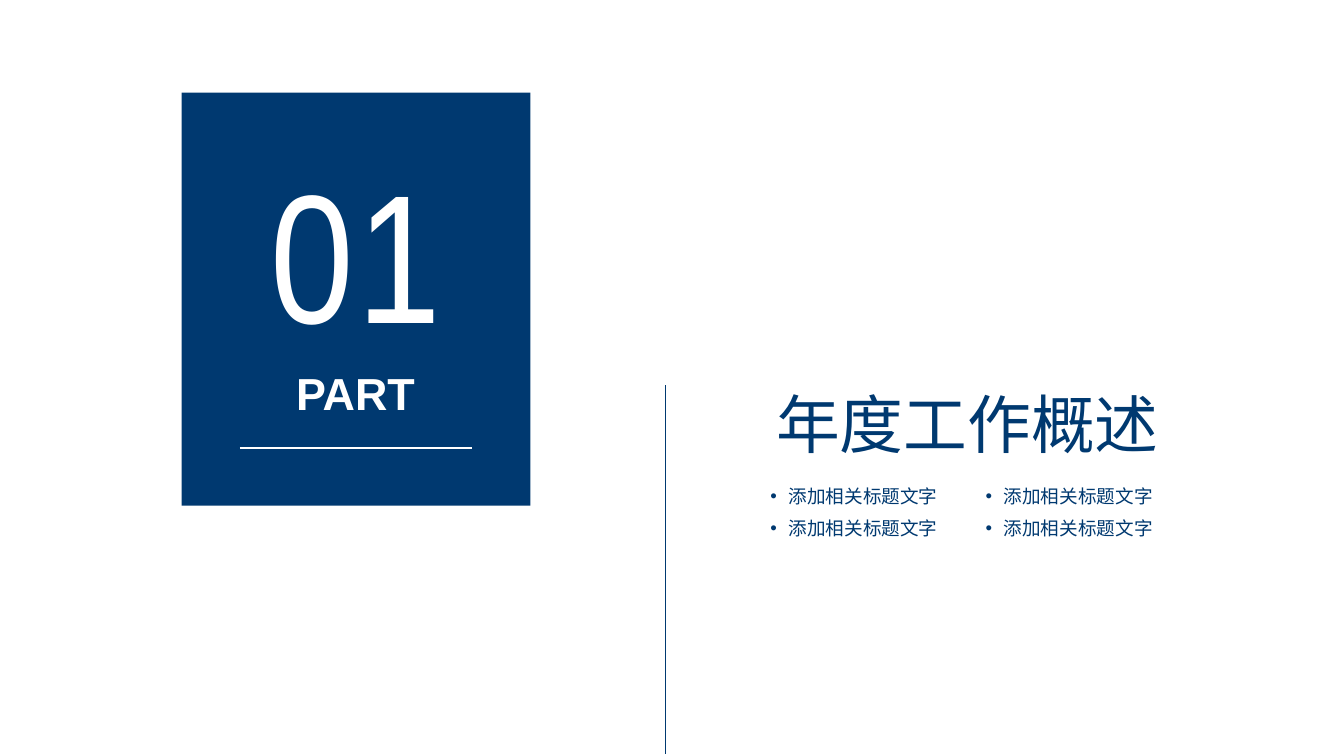
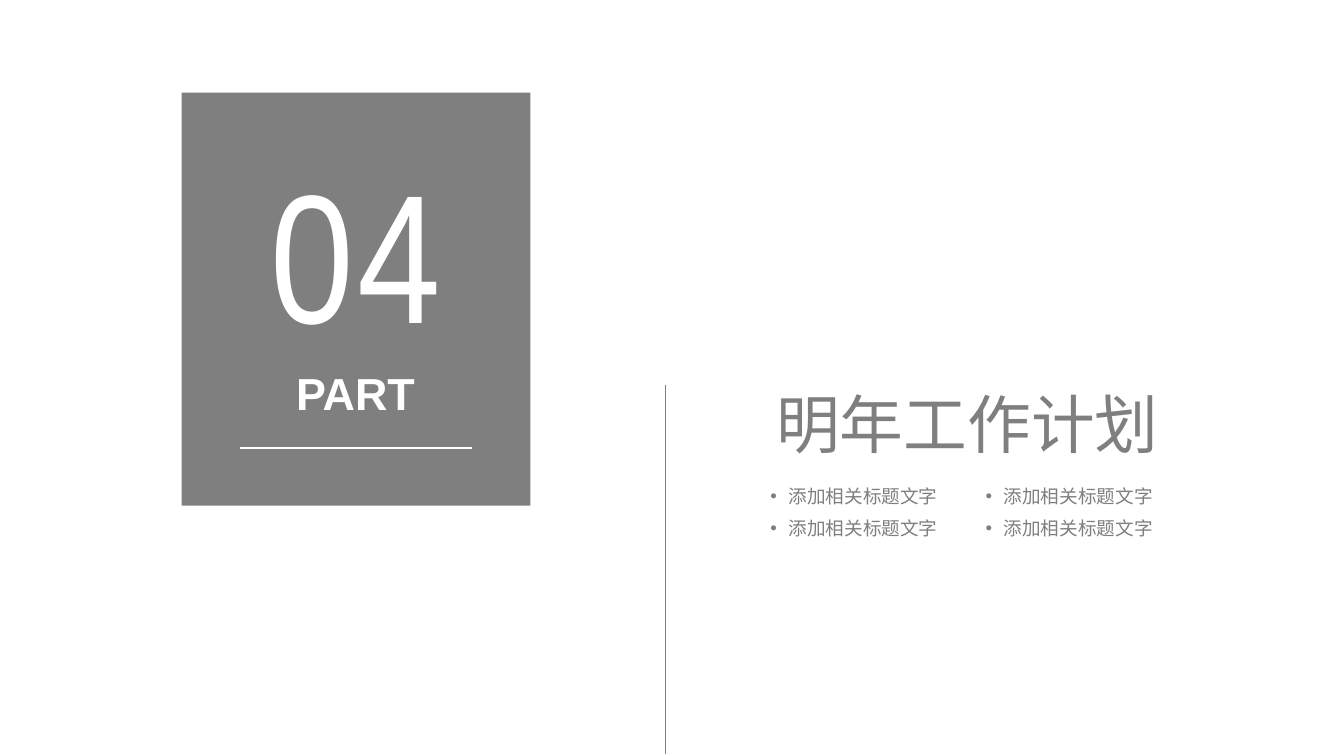
import dataclasses
import itertools

import lxml.etree
import pptx
import pptx.dml.color
import pptx.enum.lang
import pptx.enum.shapes
import pptx.enum.text
import pptx.oxml.ns
import pptx.util

Inches = pptx.util.Inches
Pt = pptx.util.Pt
qn = pptx.oxml.ns.qn


@dataclasses.dataclass(frozen=True)
class Theme:
    navy: str = "003970"
    gray: str = "7F7F7F"
    white: str = "FFFFFF"
    font: str = "Arial"
    number_font: str = "Arial Narrow"
    number_size: float = 138
    title_size: float = 48
    label_size: float = 33.8
    bullet_size: float = 14


THEME = Theme()


def rgb(color):
    return pptx.dml.color.RGBColor.from_string(color)


def write_text(box, text, *, size, color, font=THEME.font, bold=False,
               centered=False, spacing=None, before=None, bullet_indent=None):
    """Fill the first paragraph of a box and format it."""
    para = box.text_frame.paragraphs[0]
    if centered:
        para.alignment = pptx.enum.text.PP_ALIGN.CENTER
    span = para.add_run()
    span.text = text
    span.font.name = font
    span.font.size = Pt(size)
    span.font.bold = bold
    span.font.color.rgb = rgb(color)
    span.font.language_id = pptx.enum.lang.MSO_LANGUAGE_ID.SIMPLIFIED_CHINESE

    # Letter spacing, relative paragraph spacing and bullets need XML
    if spacing:
        span.font._element.set("spc", str(spacing * 100))
    properties = para._p.get_or_add_pPr()
    if before:
        space = lxml.etree.SubElement(properties, qn("a:spcBef"))
        percent = lxml.etree.SubElement(space, qn("a:spcPct"))
        percent.set("val", str(before * 1000))
    if bullet_indent:
        indent = Inches(bullet_indent)
        properties.set("marL", str(indent))
        properties.set("indent", str(-indent))
        lxml.etree.SubElement(properties, qn("a:buFont")).set("typeface", font)
        lxml.etree.SubElement(properties, qn("a:buChar")).set("char", "•")


class SectionDeck:
    """Holds the style, the deck and the current page."""

    def __init__(self, theme):
        self.theme = theme
        self.deck = pptx.Presentation()
        self.deck.slide_width = Inches(14.06)
        self.deck.slide_height = Inches(7.91)
        self.page = None

    def new_page(self):
        self.page = self.deck.slides.add_slide(self.deck.slide_layouts[6])

    def panel(self, left, top, width, height, color):
        shape = self.page.shapes.add_shape(
            pptx.enum.shapes.MSO_SHAPE.RECTANGLE,
            Inches(left), Inches(top), Inches(width), Inches(height))
        shape.shadow.inherit = False
        shape.fill.solid()
        shape.fill.fore_color.rgb = rgb(color)
        shape.line.fill.background()

    def rule(self, start, end, color, weight):
        line = self.page.shapes.add_connector(
            pptx.enum.shapes.MSO_CONNECTOR.STRAIGHT,
            *(Inches(value) for value in (*start, *end)))
        line.line.color.rgb = rgb(color)
        line.line.width = Pt(weight)
        lxml.etree.SubElement(line._element.spPr, qn("a:effectLst"))

    def text(self, left, top, width, height, text, inset=(0, 0), **style):
        box = self.page.shapes.add_textbox(
            Inches(left), Inches(top), Inches(width), Inches(height))
        frame = box.text_frame
        frame.word_wrap = True
        frame.auto_size = pptx.enum.text.MSO_AUTO_SIZE.SHAPE_TO_FIT_TEXT
        frame.margin_left = frame.margin_right = Inches(inset[0])
        frame.margin_top = frame.margin_bottom = Inches(inset[1])
        write_text(box, text, **style)

    def bullets(self, left, top, items, color):
        """Lay the items out in two columns, row by row."""
        cells = itertools.product(range(2), range(2))
        for (row, column), item in zip(cells, items):
            self.text(left + column * 2.25, top + row * 0.34, 2.01, 0.24, item,
                      size=self.theme.bullet_size, color=color,
                      bullet_indent=0.19)

    def section(self, number, title, items, color):
        theme = self.theme
        self.new_page()

        # Number panel
        self.panel(1.9, 0.97, 3.65, 4.32, color)
        self.rule((2.51, 4.69), (4.94, 4.69), theme.white, 1.5)
        self.text(2.38, 3.83, 2.68, 0.57, "PART", size=theme.label_size,
                  color=theme.white, bold=True, centered=True)
        self.text(2.55, 1.42, 2.35, 2.42, number, inset=(0.1, 0.05),
                  size=theme.number_size, color=theme.white,
                  font=theme.number_font, centered=True, spacing=3, before=20)

        # Title and topics beside the divider
        self.rule((6.96, 4.03), (6.96, 7.89), color, 0.5)
        self.text(8.12, 4.03, 4.72, 0.81, title,
                  size=theme.title_size, color=color)
        self.bullets(8.06, 5.07, items, color)


def main():
    deck = SectionDeck(THEME)
    topics = ["添加相关标题文字"] * 4
    deck.section("01", "年度工作概述", topics, THEME.navy)
    deck.section("04", "明年工作计划", topics, THEME.gray)
    deck.deck.save("out.pptx")


if __name__ == "__main__":
    main()
